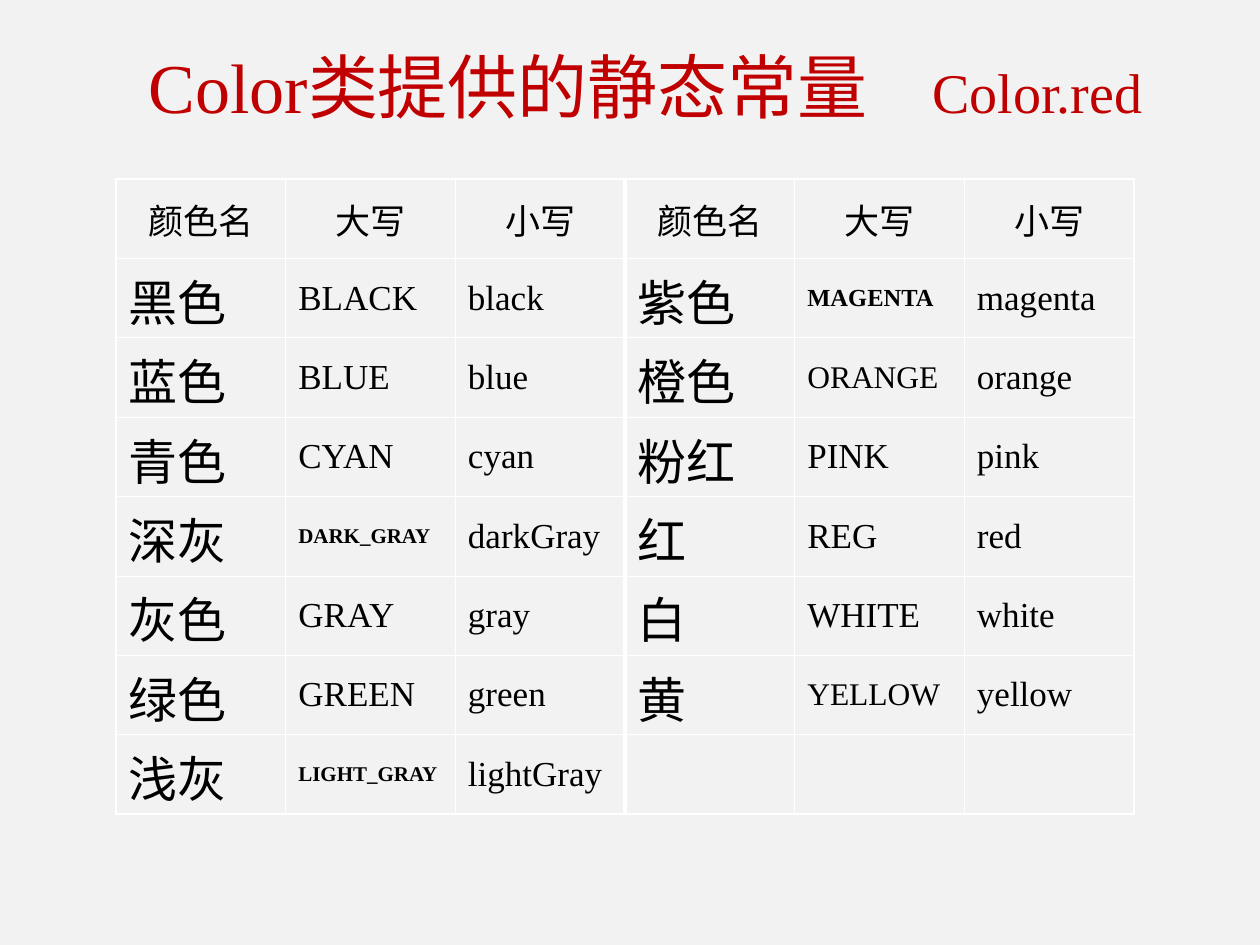
from dataclasses import dataclass

import pptx
import pptx.dml.color
import pptx.enum.lang
import pptx.enum.text
import pptx.util
from lxml import etree
from pptx.oxml.ns import qn

Cm = pptx.util.Cm
Pt = pptx.util.Pt


@dataclass(frozen=True)
class Theme:
    font: str = "Times New Roman"
    background: str = "F2F2F2"
    title: str = "C00000"
    text: str = "000000"
    rule: str = "FFFFFF"
    title_size: int = 40
    example_size: int = 32
    name_size: int = 28
    body_size: int = 20
    inner_rule: float = 0.45
    outer_rule: float = 1.08
    middle_rule: float = 2.21


THEME = Theme()

HEADINGS = ("颜色名", "大写", "小写")
LEFT_COLORS = (
    ("黑色", "BLACK", "black"),
    ("蓝色", "BLUE", "blue"),
    ("青色", "CYAN", "cyan"),
    ("深灰", "DARK_GRAY", "darkGray"),
    ("灰色", "GRAY", "gray"),
    ("绿色", "GREEN", "green"),
    ("浅灰", "LIGHT_GRAY", "lightGray"),
)
RIGHT_COLORS = (
    ("紫色", "MAGENTA", "magenta"),
    ("橙色", "ORANGE", "orange"),
    ("粉红", "PINK", "pink"),
    ("红", "REG", "red"),
    ("白", "WHITE", "white"),
    ("黄", "YELLOW", "yellow"),
    ("", "", ""),
)
# Long constants are set smaller so they fit their column: size, bold
FITTED = {
    "MAGENTA": (14, True),
    "DARK_GRAY": (12, True),
    "LIGHT_GRAY": (12, True),
    "ORANGE": (18, False),
    "YELLOW": (18, False),
}


def style_span(span, size, color, bold=False):
    font = span.font
    font.name = THEME.font
    font.size = Pt(size)
    font.bold = bold
    font.color.rgb = pptx.dml.color.RGBColor.from_string(color)
    font.language_id = pptx.enum.lang.MSO_LANGUAGE_ID.SIMPLIFIED_CHINESE


def add_title(page, left, top, width, height):
    box = page.shapes.add_textbox(left, top, width, height)
    box.text_frame.word_wrap = True
    para = box.text_frame.paragraphs[0]

    # The tab stop places the example after the heading
    tabs = etree.SubElement(para._p.get_or_add_pPr(), qn("a:tabLst"))
    etree.SubElement(tabs, qn("a:tab"), pos=str(Cm(15.8)), algn="l")

    para.text = "Color类提供的静态常量\t"
    style_span(para.runs[0], THEME.title_size, THEME.title)
    example = para.add_run()
    example.text = "Color.red"
    style_span(example, THEME.example_size, THEME.title)


def set_border(cell, side, points):
    line = etree.SubElement(cell._tc.get_or_add_tcPr(), qn(f"a:ln{side}"),
                            w=str(Pt(points)))
    fill = etree.SubElement(line, qn("a:solidFill"))
    etree.SubElement(fill, qn("a:srgbClr"), val=THEME.rule)


def frame_cell(cell, row, column, last_row):
    vertical = {0: THEME.outer_rule, 3: THEME.middle_rule, 6: THEME.outer_rule}
    horizontal = {0: THEME.outer_rule, last_row + 1: THEME.outer_rule}
    set_border(cell, "L", vertical.get(column, THEME.inner_rule))
    set_border(cell, "R", vertical.get(column + 1, THEME.inner_rule))
    set_border(cell, "T", horizontal.get(row, THEME.inner_rule))
    set_border(cell, "B", horizontal.get(row + 1, THEME.inner_rule))
    cell.fill.background()


def fill_cell(cell, text, row, column):
    cell.vertical_anchor = pptx.enum.text.MSO_ANCHOR.MIDDLE
    if not text:
        return
    cell.text_frame.text = text
    para = cell.text_frame.paragraphs[0]
    size, bold = FITTED.get(text, (THEME.body_size, False))
    if row == 0:
        para.alignment = pptx.enum.text.PP_ALIGN.CENTER
    elif column % 3 == 0:
        size = THEME.name_size
    style_span(para.runs[0], size, THEME.text, bold)


def add_color_table(page, left, top, width, height):
    rows = [HEADINGS * 2]
    rows += [first + second for first, second in zip(LEFT_COLORS, RIGHT_COLORS)]
    frame = page.shapes.add_table(len(rows), len(rows[0]), left, top, width, height)
    table = frame.table
    table.first_row = False
    table.horz_banding = False
    for row, texts in enumerate(rows):
        for column, text in enumerate(texts):
            cell = table.cell(row, column)
            frame_cell(cell, row, column, len(rows) - 1)
            fill_cell(cell, text, row, column)


def main():
    deck = pptx.Presentation()
    deck.slide_width, deck.slide_height = Cm(25.4), Cm(19.05)
    page = deck.slides.add_slide(deck.slide_layouts[6])
    background = page.background.fill
    background.solid()
    background.fore_color.rgb = pptx.dml.color.RGBColor.from_string(THEME.background)

    add_title(page, Cm(2.75), Cm(0.76), Cm(21.6), Cm(3.28))
    add_color_table(page, Cm(2.34), Cm(3.61), Cm(20.52), Cm(12.8))
    deck.save("out.pptx")


if __name__ == "__main__":
    main()
